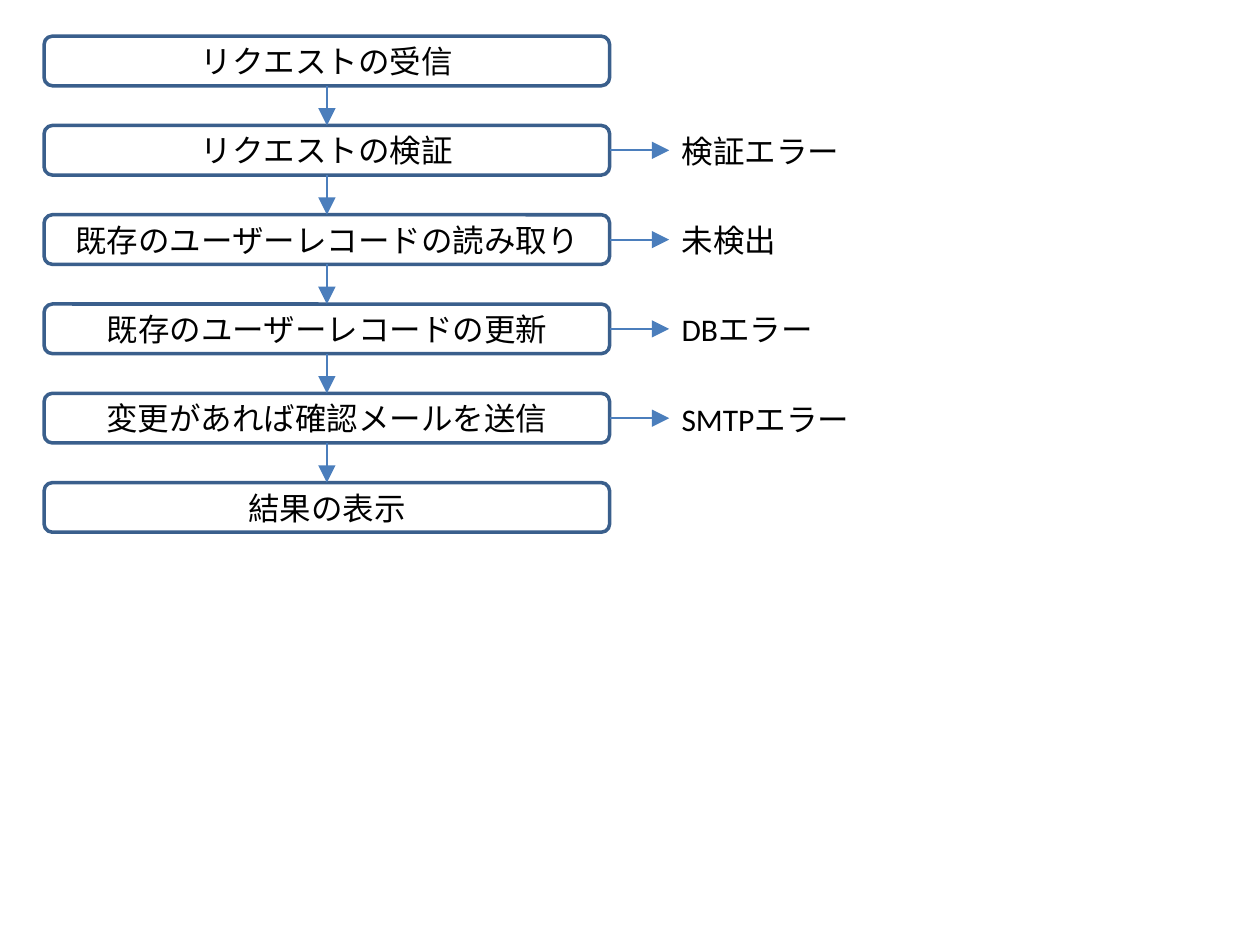
from lxml import etree
from pptx import Presentation
from pptx.dml.color import RGBColor
from pptx.enum.shapes import MSO_CONNECTOR, MSO_SHAPE
from pptx.enum.text import MSO_ANCHOR, MSO_AUTO_SIZE, PP_ALIGN
from pptx.oxml.ns import qn
from pptx.util import Cm, Pt

ROUNDED = MSO_SHAPE.ROUNDED_RECTANGLE
STRAIGHT = MSO_CONNECTOR.STRAIGHT
MIDDLE = MSO_ANCHOR.MIDDLE
CENTER = PP_ALIGN.CENTER
FIT_SHAPE = MSO_AUTO_SIZE.SHAPE_TO_FIT_TEXT
color = RGBColor.from_string

JAPANESE_FONT = "Noto Sans CJK JP"
LEFT, TOP, WIDTH, HEIGHT, PITCH = 0.89, 0.73, 11.4, 1, 1.8
RIGHT = LEFT + WIDTH
MIDDLE_X = LEFT + WIDTH / 2
LABEL_LEFT = 13.49

# Each step with the error it can lead to
steps = [
    ("リクエストの受信", None),
    ("リクエストの検証", "検証エラー"),
    ("既存のユーザーレコードの読み取り", "未検出"),
    ("既存のユーザーレコードの更新", "DBエラー"),
    ("変更があれば確認メールを送信", "SMTPエラー"),
    ("結果の表示", None),
]


def add_run(paragraph, text, font_name):
    run = paragraph.add_run()
    run.text = text
    run.font.size = Pt(18)
    run.font.name = font_name
    run.font.color.rgb = color("000000")
    east_asian = etree.SubElement(run.font._element, qn("a:ea"))
    east_asian.set("typeface", JAPANESE_FONT)


def add_arrow(slide, x1, y1, x2, y2):
    arrow = slide.shapes.add_connector(STRAIGHT, Cm(x1), Cm(y1), Cm(x2), Cm(y2))
    arrow.line.color.rgb = color("4B7EBC")
    arrow.line.width = Pt(1.25)
    line = arrow.line._get_or_add_ln()
    etree.SubElement(line, qn("a:tailEnd"), type="triangle", w="lg", len="lg")
    etree.SubElement(arrow._element.spPr, qn("a:effectLst"))


presentation = Presentation()
presentation.slide_width = Cm(25.4)
presentation.slide_height = Cm(19.05)
slide = presentation.slides.add_slide(presentation.slide_layouts[6])

for index, (step, error) in enumerate(steps):
    top = TOP + index * PITCH

    # Step box
    box = slide.shapes.add_shape(ROUNDED, Cm(LEFT), Cm(top), Cm(WIDTH), Cm(HEIGHT))
    box.shadow.inherit = False
    box.fill.background()
    box.line.color.rgb = color("3A5F8C")
    box.line.width = Pt(2)
    box.text_frame.vertical_anchor = MIDDLE
    paragraph = box.text_frame.paragraphs[0]
    paragraph.alignment = CENTER
    add_run(paragraph, step, JAPANESE_FONT)

    # Arrow from the step above
    if index > 0:
        add_arrow(slide, MIDDLE_X, top - PITCH + HEIGHT, MIDDLE_X, top)

    # Arrow to the error label
    if error:
        center_y = top + HEIGHT / 2
        add_arrow(slide, RIGHT, center_y, LABEL_LEFT, center_y)
        label = slide.shapes.add_textbox(Cm(LABEL_LEFT), Cm(top), Cm(8.41), Cm(1.03))
        label.text_frame.word_wrap = True
        label.text_frame.auto_size = FIT_SHAPE
        add_run(label.text_frame.paragraphs[0], error, "Calibri")

presentation.save("out.pptx")
